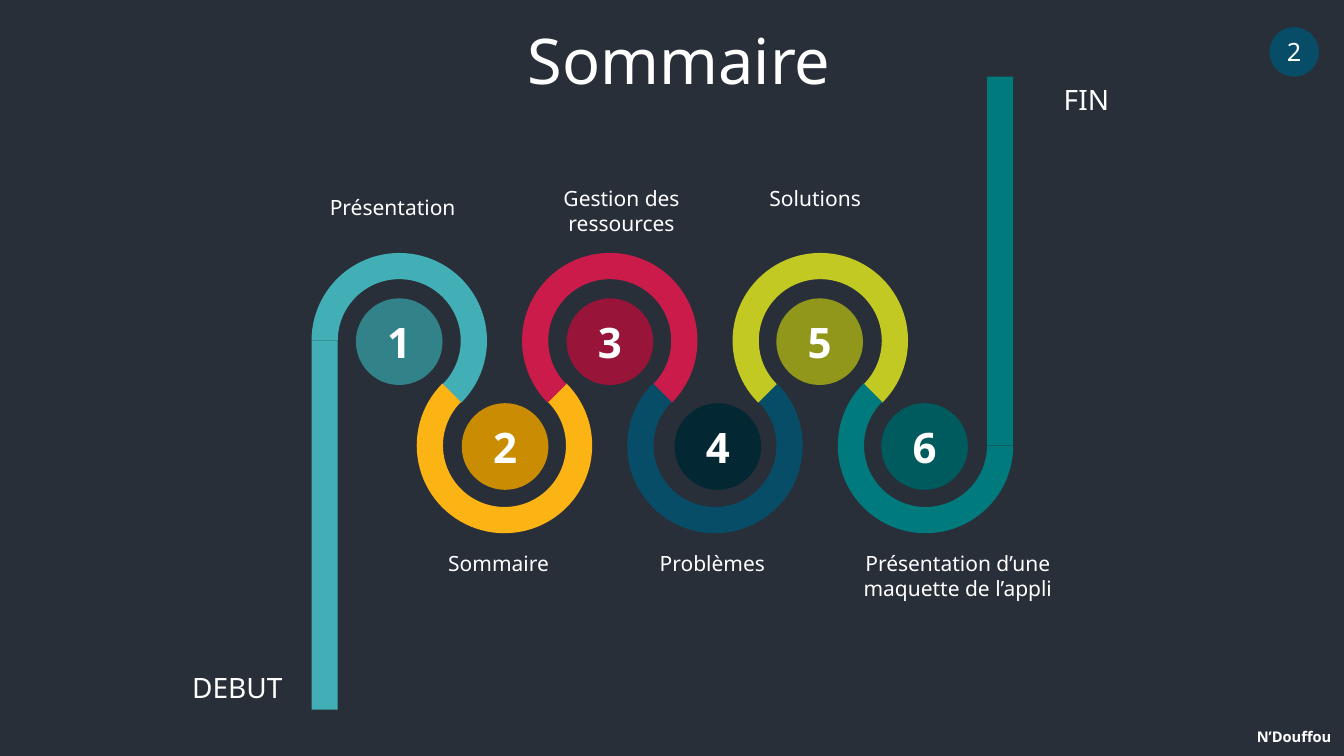
import pptx
import pptx.dml.color
import pptx.enum.shapes
import pptx.enum.text
import pptx.util

Inches = pptx.util.Inches
RGBColor = pptx.dml.color.RGBColor
PRESET = pptx.enum.shapes.MSO_SHAPE

NIGHT = RGBColor(0x28, 0x2F, 0x39)
WHITE = RGBColor(0xFF, 0xFF, 0xFF)
AQUA, AQUA_DARK = RGBColor(0x42, 0xAF, 0xB6), RGBColor(0x31, 0x83, 0x89)
AMBER, AMBER_DARK = RGBColor(0xFC, 0xB4, 0x14), RGBColor(0xC9, 0x8C, 0x03)
RED, RED_DARK = RGBColor(0xCB, 0x1B, 0x4A), RGBColor(0x98, 0x14, 0x38)
BLUE, BLUE_DARK = RGBColor(0x07, 0x4D, 0x67), RGBColor(0x04, 0x27, 0x34)
LIME, LIME_DARK = RGBColor(0xC2, 0xC9, 0x23), RGBColor(0x91, 0x97, 0x1A)
TEAL, TEAL_DARK = RGBColor(0x00, 0x7A, 0x7D), RGBColor(0x00, 0x5B, 0x5E)

RING, BAND, DISC = 1.74, 0.26, 0.86
STEP_X, STEP_Y = 1.04, 1.04
DEGREE = 0.6  # one degree in the units of a block arc adjustment

# ring colour, disc colour, disc left, label, label box; relative to the road box
STEPS = [
    (AQUA, AQUA_DARK, 0.44, "Présentation", (-0.01, 1.12, 1.63, 0.35)),
    (AMBER, AMBER_DARK, 1.49, "Sommaire", (1.20, 4.65, 1.31, 0.35)),
    (RED, RED_DARK, 2.53, "Gestion des ressources", (2.14, 1.03, 1.87, 0.61)),
    (BLUE, BLUE_DARK, 3.60, "Problèmes", (3.32, 4.65, 1.31, 0.35)),
    (LIME, LIME_DARK, 4.61, "Solutions", (4.34, 1.03, 1.31, 0.35)),
    (TEAL, TEAL_DARK, 5.65, "Présentation d’une maquette de l’appli",
     (5.36, 4.65, 2.10, 0.86)),
]


def write(shape, text, size, **extra):
    """Put one centred white line of text into a shape."""
    frame = shape.text_frame
    frame.word_wrap = True
    para = frame.paragraphs[0]
    para.alignment = pptx.enum.text.PP_ALIGN.CENTER
    span = para.add_run()
    span.text = text
    look = {"name": "Noto Sans", "size": pptx.util.Pt(size), "bold": False, **extra}
    for key, value in look.items():
        setattr(span.font, key, value)
    span.font.color.rgb = WHITE


def add_flat(page, preset, box, colour):
    """Place a preset shape at box with a flat fill and no line or shadow."""
    shape = page.shapes.add_shape(preset, *map(Inches, box))
    shape.shadow.inherit = False
    shape.fill.solid()
    shape.fill.fore_color.rgb = colour
    shape.line.fill.background()
    return shape


def add_label(page, box, text, size, **extra):
    """Place a text box at box."""
    write(page.shapes.add_textbox(*map(Inches, box)), text, size, **extra)


def add_disc(page, box, colour, text, size, **extra):
    """Place a numbered disc at box."""
    disc = add_flat(page, PRESET.OVAL, box, colour)
    write(disc, text, size, **extra)
    frame = disc.text_frame
    frame.vertical_anchor = pptx.enum.text.MSO_ANCHOR.MIDDLE
    frame.margin_left = frame.margin_right = 0


def add_ring(page, box, start, end, colour):
    """Place an open ring running clockwise from start to end degrees."""
    ring = add_flat(page, PRESET.BLOCK_ARC, box, colour)
    for i, value in enumerate((start * DEGREE, end * DEGREE, BAND / RING)):
        ring.adjustments[i] = value


def add_road(page, box):
    """Build the winding road, its discs and its labels inside box."""
    left, top, width, height = box
    last = len(STEPS) - 1
    pitch = (width - RING) / last
    for i, (colour, dark, disc_x, label, (x, y, w, h)) in enumerate(STEPS):
        drop = STEP_Y * (i % 2)
        start, end = (315, 225) if i % 2 else (135, 45)
        if i == 0:
            start = 180
        elif i == last:
            start = 0
        ring_top = top + 1.75 + drop
        add_ring(page, (left + pitch * i, ring_top, RING, RING), start, end, colour)
        add_disc(page, (left + disc_x, top + 2.2 + drop, DISC, DISC), dark,
                 str(i + 1), 30, bold=True)
        add_label(page, (left + x, top + y, w, h), label, 15)
    bend = 1.75 + RING / 2
    add_flat(page, PRESET.RECTANGLE,
             (left, top + bend, BAND, height - bend), AQUA)
    add_flat(page, PRESET.RECTANGLE,
             (left + width - BAND, top, BAND, bend + STEP_Y), TEAL)
    add_label(page, (left - 1.32, top + 5.84, 1.17, 0.44), "DEBUT", 20)
    add_label(page, (left + width + 0.17, top + 0.01, 1.11, 0.44), "FIN", 20)


def add_summary(deck):
    """Add the summary page with its title, road and page marks."""
    page = deck.slides.add_slide(deck.slide_layouts[6])
    page.background.fill.solid()
    page.background.fill.fore_color.rgb = NIGHT
    add_label(page, (3.09, 0.16, 7.29, 0.86), "Sommaire", 45)
    add_road(page, (3.09, 0.76, 6.96, 6.28))
    add_disc(page, (12.59, 0.27, 0.49, 0.49), BLUE, "2", 18)
    add_label(page, (12.25, 7.17, 1.17, 0.28), "N’Douffou", 10.5,
              name="Open Sans", bold=True)


deck = pptx.Presentation()
deck.slide_width, deck.slide_height = Inches(13.33), Inches(7.5)
add_summary(deck)
deck.save("out.pptx")
